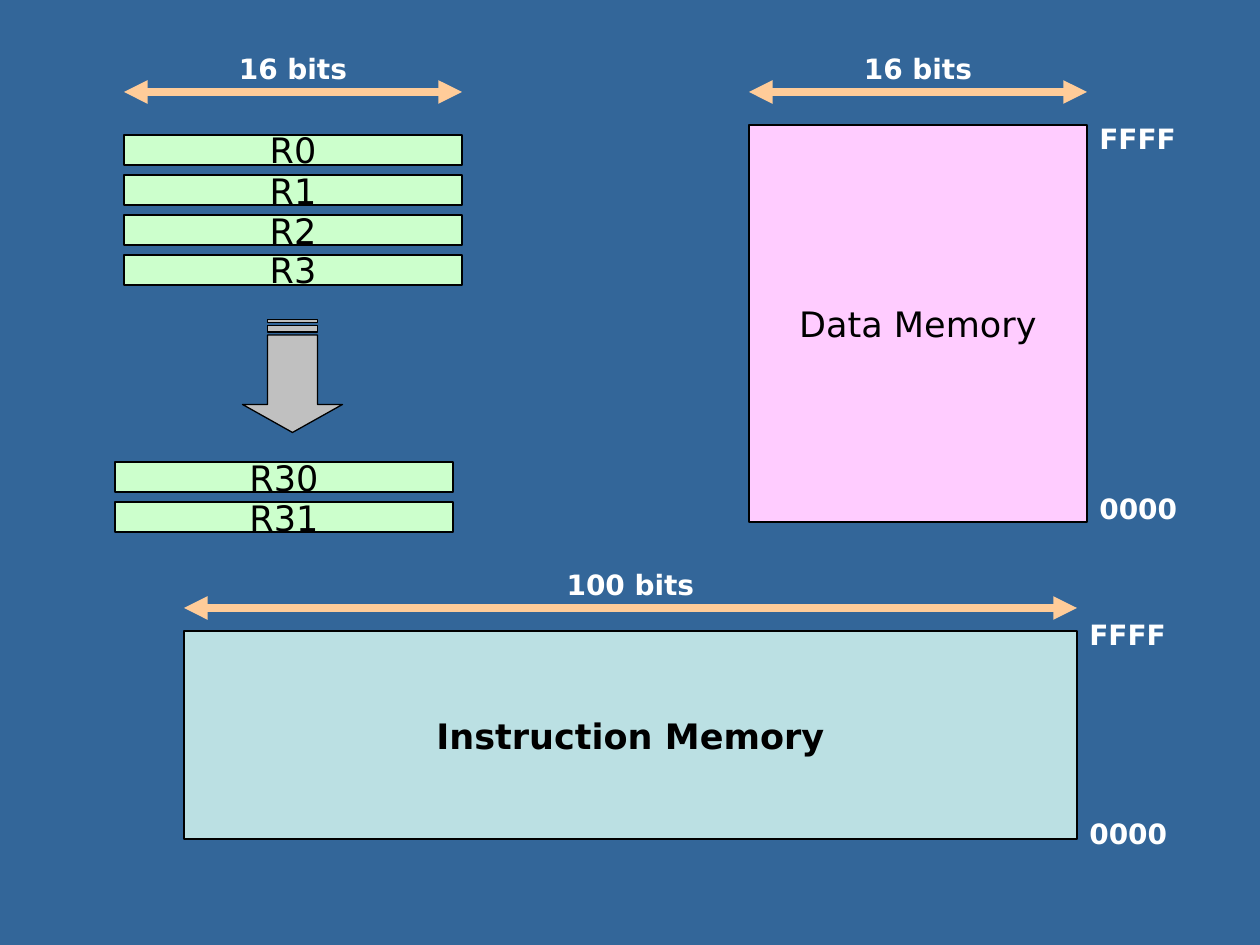
from pptx import Presentation, util as u
from pptx.dml.color import RGBColor
from pptx.enum import shapes, text
from pptx.oxml.ns import qn
from lxml import etree

FONT = "DejaVu Sans"
BLACK, WHITE = "000000", "FFFFFF"
REGISTER, ARROW, MEASURE = "CCFFCC", "C0C0C0", "FFCC99"
REGISTER_WIDTH, REGISTER_HEIGHT, REGISTER_PITCH = 338, 30, 40
LABEL_WIDTH, LABEL_HEIGHT = 110, 47


def px(count):
    return u.Inches(count / 126)


def color(value):
    return RGBColor.from_string(value)


def write(frame, words, size, ink, bold=False, align=text.PP_ALIGN.CENTER):
    frame.text = words
    para = frame.paragraphs[0]
    para.alignment = align
    font = para.runs[0].font
    font.name, font.size, font.bold = FONT, u.Pt(size), bold
    font.color.rgb = color(ink)


def add_block(page, kind, left, top, width, height, fill):
    block = page.shapes.add_shape(kind, px(left), px(top), px(width), px(height))
    block.shadow.inherit = False
    block.fill.solid()
    block.fill.fore_color.rgb = color(fill)
    block.line.color.rgb = color(BLACK)
    block.line.width = u.Pt(0.75)
    return block


def add_named_box(page, left, top, width, height, fill, words, bold=False):
    box = add_block(page, shapes.MSO_SHAPE.RECTANGLE, left, top, width, height, fill)
    box.text_frame.word_wrap = False
    box.text_frame.vertical_anchor = text.MSO_ANCHOR.MIDDLE
    write(box.text_frame, words, 20, BLACK, bold)


def add_label(page, left, top, width, words, align=text.PP_ALIGN.LEFT):
    label = page.shapes.add_textbox(px(left), px(top), px(width), px(LABEL_HEIGHT))
    label.text_frame.word_wrap = True
    write(label.text_frame, words, 16, WHITE, True, align)


def add_measure(page, left, middle, width, words):
    """Double-headed arrow with its bit width written above it."""
    arrow = page.shapes.add_connector(shapes.MSO_CONNECTOR.STRAIGHT, px(left), px(middle),
                                      px(left + width), px(middle))
    arrow.line.color.rgb = color(MEASURE)
    arrow.line.width = u.Pt(4.5)
    line = arrow.line._get_or_add_ln()
    for end in ("a:headEnd", "a:tailEnd"):
        etree.SubElement(line, qn(end), type="triangle")
    etree.SubElement(arrow._element.spPr, qn("a:effectLst"))
    add_label(page, left, middle - LABEL_HEIGHT, width, words, text.PP_ALIGN.CENTER)


def add_registers(page, left, top, names):
    for row, name in enumerate(names):
        add_named_box(page, left, top + row * REGISTER_PITCH,
                      REGISTER_WIDTH, REGISTER_HEIGHT, REGISTER, name)


def add_register_file(page, left, top):
    add_measure(page, left, top - 43, REGISTER_WIDTH, "16 bits")
    add_registers(page, left, top, ["R0", "R1", "R2", "R3"])
    add_registers(page, left - 9, top + 327, ["R30", "R31"])
    arrow = add_block(page, shapes.MSO_SHAPE.STRIPED_RIGHT_ARROW,
                      left + 112, top + 191, 113, 100, ARROW)
    arrow.rotation = 90
    arrow.adjustments[1] = 0.28


def add_memory(page, left, top, width, height, fill, name, bits, measure_gap,
               high_rise, low_rise, bold=False):
    """Memory block; the rises lift the address labels above its top and bottom."""
    add_named_box(page, left, top, width, height, fill, name, bold)
    add_measure(page, left, top - measure_gap, width, bits)
    add_label(page, left + width, top - high_rise, LABEL_WIDTH, "FFFF")
    add_label(page, left + width, top + height - low_rise, LABEL_WIDTH, "0000")


def main():
    deck = Presentation()
    deck.slide_width, deck.slide_height = px(1260), px(945)
    page = deck.slides.add_slide(deck.slide_layouts[6])
    page.background.fill.solid()
    page.background.fill.fore_color.rgb = color("336699")

    add_register_file(page, 124, 135)
    add_memory(page, 749, 125, 338, 397, "FFCCFF", "Data Memory", "16 bits", 33, 10, 37)
    add_memory(page, 184, 631, 893, 208, "BBE0E3", "Instruction Memory", "100 bits",
               23, 20, 29, bold=True)
    deck.save("out.pptx")


if __name__ == "__main__":
    main()
